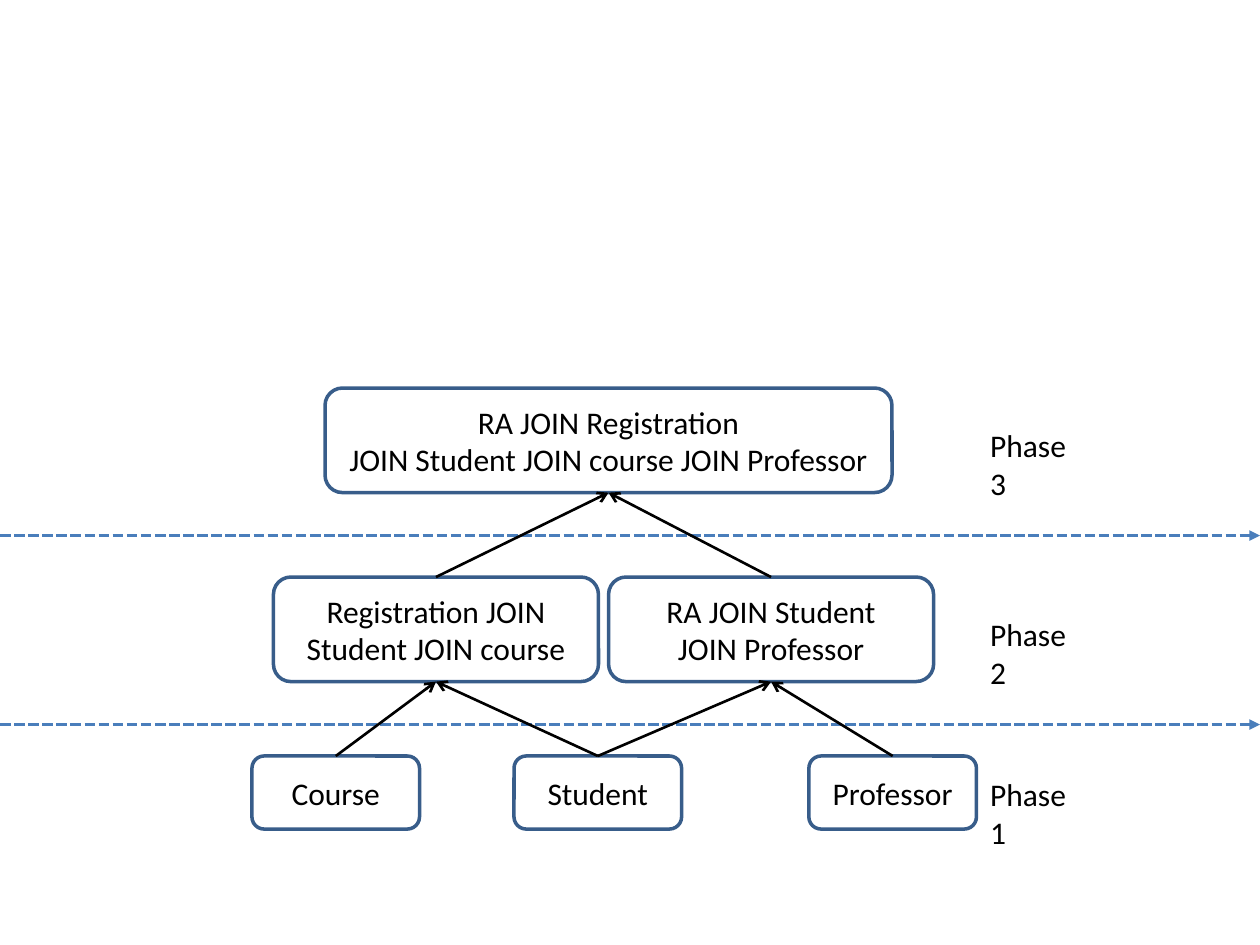
"""Build a slide showing joins combined over three phases."""
from lxml.etree import SubElement
from pptx import Presentation
from pptx.dml.color import RGBColor
from pptx.enum.dml import MSO_LINE
from pptx.enum.shapes import MSO_CONNECTOR, MSO_SHAPE
from pptx.enum.text import MSO_ANCHOR, MSO_AUTO_SIZE, PP_ALIGN
from pptx.oxml.ns import qn
from pptx.util import Inches, Pt

BLACK = RGBColor(0x00, 0x00, 0x00)
WHITE = RGBColor(0xFF, 0xFF, 0xFF)
NAVY = RGBColor(0x38, 0x5D, 0x8A)
BLUE = RGBColor(0x4A, 0x7E, 0xBB)

deck = Presentation()
deck.slide_width, deck.slide_height = Inches(10), Inches(7.5)
slide = deck.slides.add_slide(deck.slide_layouts[6])
shapes = slide.shapes


def write(shape, text, align=PP_ALIGN.LEFT, anchor=MSO_ANCHOR.TOP, wrap=True):
    frame = shape.text_frame
    frame.word_wrap = wrap
    frame.vertical_anchor = anchor
    frame.text = text
    for para in frame.paragraphs:
        para.alignment = align
        para.font.name = "Calibri"
        para.font.size = Pt(18)
        para.font.color.rgb = BLACK


def draw(start, end, color, width, head, dash=None):
    line = shapes.add_connector(
        MSO_CONNECTOR.STRAIGHT, *[Inches(n) for n in (*start, *end)])
    line.line.color.rgb = color
    line.line.width = Pt(width)
    if dash:
        line.line.dash_style = dash
    props = line.element.spPr
    SubElement(props.find(qn("a:ln")), qn("a:tailEnd"), type=head)
    SubElement(props, qn("a:effectLst"))
    return line


nodes = [
    ("Student", 4.08, 6, 1.33, 0.58),
    ("Course", 2, 6, 1.33, 0.58),
    ("Professor", 6.42, 6, 1.33, 0.58),
    ("Registration JOIN\nStudent JOIN course", 2.17, 4.58, 2.58, 0.83),
    ("RA JOIN Student\nJOIN Professor", 4.83, 4.58, 2.58, 0.83),
    ("RA JOIN Registration\nJOIN Student JOIN course JOIN Professor",
     2.58, 3.08, 4.5, 0.83),
]
boxes = []
for text, *area in nodes:
    box = shapes.add_shape(
        MSO_SHAPE.ROUNDED_RECTANGLE, *[Inches(n) for n in area])
    box.shadow.inherit = False
    box.fill.solid()
    box.fill.fore_color.rgb = WHITE
    box.line.color.rgb = NAVY
    box.line.width = Pt(2)
    write(box, text, align=PP_ALIGN.CENTER, anchor=MSO_ANCHOR.MIDDLE)
    boxes.append(box)
student, course, prof, left, right, top = boxes

for y in (5.75, 4.25):
    draw((0, y), (10, y), BLUE, 2, "triangle", MSO_LINE.SQUARE_DOT)

links = [(course, left), (student, left), (student, right),
         (prof, right), (left, top), (right, top)]
for low, high in links:
    link = draw((0, 0), (1, 1), BLACK, 1.5, "arrow")
    link.begin_connect(low, 0)
    link.end_connect(high, 2)

for phase, y in enumerate((6.1, 4.83, 3.33), 1):
    label = shapes.add_textbox(
        Inches(7.76), Inches(y), Inches(0.98), Inches(0.4))
    write(label, f"Phase {phase}", wrap=False)
    label.text_frame.auto_size = MSO_AUTO_SIZE.SHAPE_TO_FIT_TEXT

deck.save("out.pptx")
